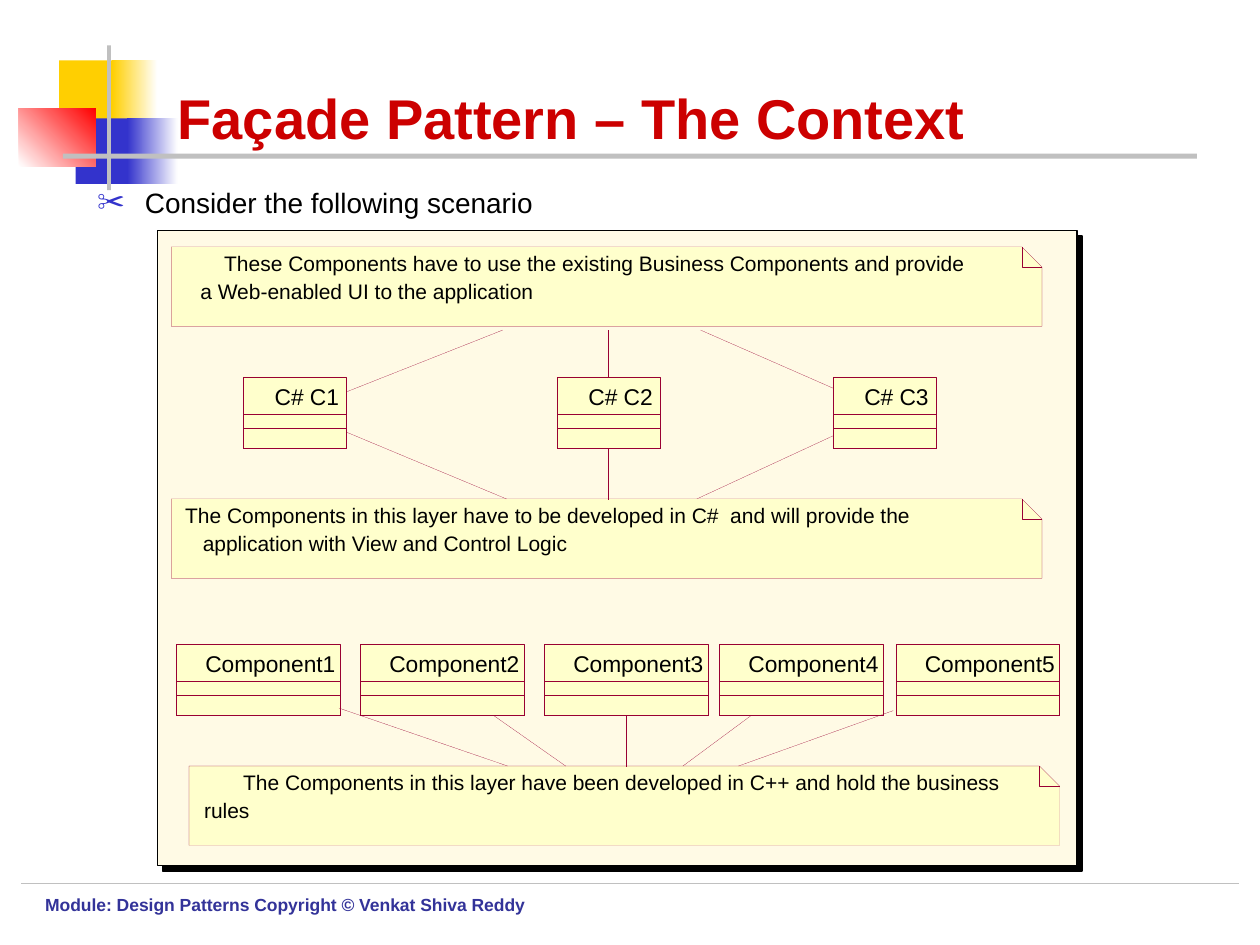
"""Build the Façade Pattern context slide with its layered component diagram."""
from dataclasses import dataclass

from lxml import etree
from pptx import Presentation
from pptx.dml.color import RGBColor
from pptx.enum.dml import MSO_LINE
from pptx.enum.shapes import MSO_CONNECTOR, MSO_SHAPE
from pptx.enum.text import MSO_ANCHOR, MSO_AUTO_SIZE, PP_ALIGN
from pptx.oxml import parse_xml
from pptx.oxml.ns import nsdecls, qn
from pptx.util import Inches, Pt

RECTANGLE = MSO_SHAPE.RECTANGLE
STRAIGHT = MSO_CONNECTOR.STRAIGHT
DASHED = MSO_LINE.SQUARE_DOT
LEFT, JUSTIFY = PP_ALIGN.LEFT, PP_ALIGN.JUSTIFY
TOP, BOTTOM = MSO_ANCHOR.TOP, MSO_ANCHOR.BOTTOM
NO_AUTOFIT, FIT_SHAPE = MSO_AUTO_SIZE.NONE, MSO_AUTO_SIZE.SHAPE_TO_FIT_TEXT

FONT = "Arial"
BLACK, WHITE, GRAY = "000000", "FFFFFF", "C0C0C0"
YELLOW, BLUE, RED = "FFCF01", "3333CC", "FF0000"
TITLE_RED, FOOTER_BLUE = "CC0000", "333399"
CREAM, NOTE_YELLOW, MAROON = "FFFAE5", "FFFFCC", "990033"

HAIRLINE = 0.1
NOTE_WIDTH, NOTE_HEIGHT, FOLD = 6.91, 0.63, 0.16
TOP_SITE, BOTTOM_SITE = 0, 2


@dataclass
class Block:
    left: float
    top: float
    width: float
    height: float
    color: str
    end_color: str = ""
    angle: int = 0


@dataclass
class ClassBox:
    name: str
    left: float
    top: float
    width: float
    text_offset: float
    text_width: float


@dataclass
class TextLine:
    text: str
    left: float
    width: float


@dataclass
class Note:
    left: float
    top: float
    lines: tuple


@dataclass
class Link:
    start: tuple
    end: tuple
    start_box: str = ""
    end_box: str = ""


BLOCKS = [
    Block(0.47, 0.48, 0.48, 0.52, YELLOW),
    Block(0.89, 0.48, 0.36, 0.52, YELLOW, WHITE),
    Block(0.6, 0.94, 0.46, 0.52, BLUE),
    Block(1.01, 0.94, 0.4, 0.52, BLUE, WHITE),
    Block(0.15, 0.86, 0.61, 0.46, WHITE, RED, 45),
    Block(0.85, 0.36, 0.03, 1.15, GRAY),
    Block(0.5, 1.22, 9, 0.04, GRAY),
]
CLASS_BOXES = [
    ClassBox(f"Component{number}", left, 5.11, 1.3, 0.23, 1.06)
    for number, left in enumerate((1.4, 2.86, 4.32, 5.71, 7.11), 1)
] + [
    ClassBox(f"C# C{number}", left, 2.99, 0.82, 0.25, 0.54)
    for number, left in enumerate((1.93, 4.42, 6.61), 1)
]
NOTES = [
    Note(1.36, 1.96, (
        TextLine("These Components have to use the existing Business Components and provide", 1.78, 5.96),
        TextLine("a Web-enabled UI to the application", 1.59, 2.68))),
    Note(1.36, 3.96, (
        TextLine("The Components in this layer have to be developed in C#  and will provide the", 1.47, 5.84),
        TextLine("application with View and Control Logic", 1.61, 2.93))),
    Note(1.5, 6.08, (
        TextLine("The Components in this layer have been developed in C++ and hold the business", 1.93, 6.09),
        TextLine("rules", 1.62, 0.4))),
]
LINKS = [
    Link((3.99, 2.62), (2.75, 3.11)),
    Link((4.83, 2.62), (4.83, 2.99), end_box="C# C2"),
    Link((5.56, 2.62), (6.61, 3.08)),
    Link((2.75, 3.43), (4.02, 3.96)),
    Link((4.83, 3.56), (4.83, 3.96), start_box="C# C2"),
    Link((6.61, 3.46), (5.53, 3.96)),
    Link((2.69, 5.62), (4.03, 6.08)),
    Link((3.92, 5.68), (4.49, 6.08)),
    Link((4.97, 5.68), (4.97, 6.08), start_box="Component3"),
    Link((5.96, 5.68), (5.42, 6.08)),
    Link((7.09, 5.64), (5.86, 6.08)),
]


def rgb(color: str) -> RGBColor:
    return RGBColor.from_string(color)


def set_font(paragraph, size: float, color: str, bold: bool = False) -> None:
    font = paragraph.font
    font.name, font.size, font.bold = FONT, Pt(size), bold
    font.color.rgb = rgb(color)


def style_shape(shape, fill: str = "", line: str = "", line_width: float = HAIRLINE) -> None:
    shape.shadow.inherit = False
    if fill:
        shape.fill.solid()
        shape.fill.fore_color.rgb = rgb(fill)
    else:
        shape.fill.background()
    if line:
        shape.line.color.rgb = rgb(line)
        shape.line.width = Pt(line_width)
    else:
        shape.line.fill.background()


def add_rectangle(shapes, left: float, top: float, width: float, height: float, **style):
    shape = shapes.add_shape(RECTANGLE, Inches(left), Inches(top), Inches(width), Inches(height))
    style_shape(shape, **style)
    return shape


def add_block(shapes, block: Block) -> None:
    shape = add_rectangle(shapes, block.left, block.top, block.width, block.height, fill=block.color)
    if block.end_color:
        shape.fill.gradient()
        shape.fill.gradient_angle = block.angle
        for stop, color in zip(shape.fill.gradient_stops, (block.color, block.end_color)):
            stop.color.rgb = rgb(color)


def add_label(shapes, text: str, left: float, top: float, width: float, height: float, size: float) -> None:
    frame = shapes.add_textbox(Inches(left), Inches(top), Inches(width), Inches(height)).text_frame
    frame.margin_left = frame.margin_top = frame.margin_right = frame.margin_bottom = 0
    frame.word_wrap, frame.auto_size = False, FIT_SHAPE
    frame.text = text
    set_font(frame.paragraphs[0], size, BLACK)


def add_class_box(shapes, box: ClassBox):
    outline = add_rectangle(shapes, box.left, box.top, box.width, 0.57, fill=NOTE_YELLOW, line=MAROON)
    add_label(shapes, box.name, box.left + box.text_offset, box.top + 0.05, box.text_width, 0.22, 13)
    for offset in (0.3, 0.41):
        add_rectangle(shapes, box.left, box.top + offset, box.width, 0.57 - offset, line=MAROON)
    return outline


def add_outline(shapes, points: list, closed: bool, fill: str = "") -> None:
    start, *rest = [(Inches(x), Inches(y)) for x, y in points]
    builder = shapes.build_freeform(*start)
    builder.add_line_segments(rest, close=closed)
    style_shape(builder.convert_to_shape(), fill, MAROON)


def add_note(shapes, note: Note) -> None:
    left, top = note.left, note.top
    right, bottom = left + NOTE_WIDTH, top + NOTE_HEIGHT
    fold_start, fold_end = (right - FOLD, top), (right, top + FOLD)
    corners = [(left, top), fold_start, fold_end, (right, bottom), (left, bottom)]
    add_outline(shapes, corners, True, NOTE_YELLOW)
    add_outline(shapes, [fold_start, (right - FOLD, top + FOLD), fold_end], False)
    for index, line in enumerate(note.lines):
        add_label(shapes, line.text, line.left, top + 0.03 + 0.22 * index, line.width, 0.2, 12)


def add_line(shapes, start: tuple, end: tuple, color: str, width: float = HAIRLINE):
    connector = shapes.add_connector(STRAIGHT, *(Inches(value) for value in start + end))
    connector.line.color.rgb = rgb(color)
    connector.line.width = Pt(width)
    etree.SubElement(connector._element.spPr, qn("a:effectLst"))
    return connector


def add_link(shapes, link: Link, boxes: dict) -> None:
    connector = add_line(shapes, link.start, link.end, MAROON)
    connector.line.dash_style = DASHED
    if link.start_box:
        connector.begin_connect(boxes[link.start_box], BOTTOM_SITE)
    if link.end_box:
        connector.end_connect(boxes[link.end_box], TOP_SITE)


def fill_placeholder(shape, position: tuple, text: str, anchor, alignment):
    shape.left, shape.top, shape.width, shape.height = (Inches(value) for value in position)
    frame = shape.text_frame
    frame.text, frame.vertical_anchor, frame.auto_size = text, anchor, NO_AUTOFIT
    paragraph = frame.paragraphs[0]
    paragraph.alignment, paragraph.space_before = alignment, Pt(0)
    shape._element.getparent().append(shape._element)
    return paragraph


def add_bullet(paragraph) -> None:
    properties = paragraph._p.get_or_add_pPr()
    properties.set("marL", str(Inches(0.38)))
    properties.set("indent", str(-Inches(0.38)))
    properties.append(parse_xml(f'<a:buClr {nsdecls("a")}><a:srgbClr val="{BLUE}"/></a:buClr>'))
    properties.append(parse_xml(f'<a:buChar {nsdecls("a")} char="✂"/>'))


def add_panel(shapes) -> None:
    panel = add_rectangle(shapes, 1.25, 1.83, 7.3, 5.04, fill=CREAM, line=BLACK, line_width=1)
    panel._element.spPr.find(qn("a:effectLst")).append(parse_xml(
        f'<a:outerShdw {nsdecls("a")} dist="{Pt(4.2)}" dir="2700000" algn="ctr" rotWithShape="0">'
        f'<a:srgbClr val="{BLACK}"/></a:outerShdw>'))


def main() -> None:
    presentation = Presentation()
    presentation.slide_width, presentation.slide_height = Inches(10), Inches(7.5)
    slide = presentation.slides.add_slide(presentation.slide_layouts[1])
    shapes = slide.shapes
    title, body = shapes.title, slide.placeholders[1]
    for block in BLOCKS:
        add_block(shapes, block)
    add_line(shapes, (0.17, 7.01), (9.83, 7.01), GRAY, 0.25)
    heading = fill_placeholder(title, (1.31, 0.25, 8.52, 1), "Façade Pattern – The Context", BOTTOM, LEFT)
    set_font(heading, 32, TITLE_RED, True)
    item = fill_placeholder(body, (0.67, 1.42, 8.75, 5.58), "Consider the following scenario", TOP, JUSTIFY)
    add_bullet(item)
    set_font(item, 16, BLACK)
    footer = shapes.add_textbox(Inches(0.26), Inches(7.05), Inches(4.24), Inches(0.4)).text_frame
    footer.word_wrap = True
    footer.text = "Module: Design Patterns Copyright © Venkat Shiva Reddy"
    set_font(footer.paragraphs[0], 10, FOOTER_BLUE, True)
    add_panel(shapes)
    boxes = {box.name: add_class_box(shapes, box) for box in CLASS_BOXES}
    for note in NOTES:
        add_note(shapes, note)
    for link in LINKS:
        add_link(shapes, link, boxes)
    presentation.save("out.pptx")


if __name__ == "__main__":
    main()
